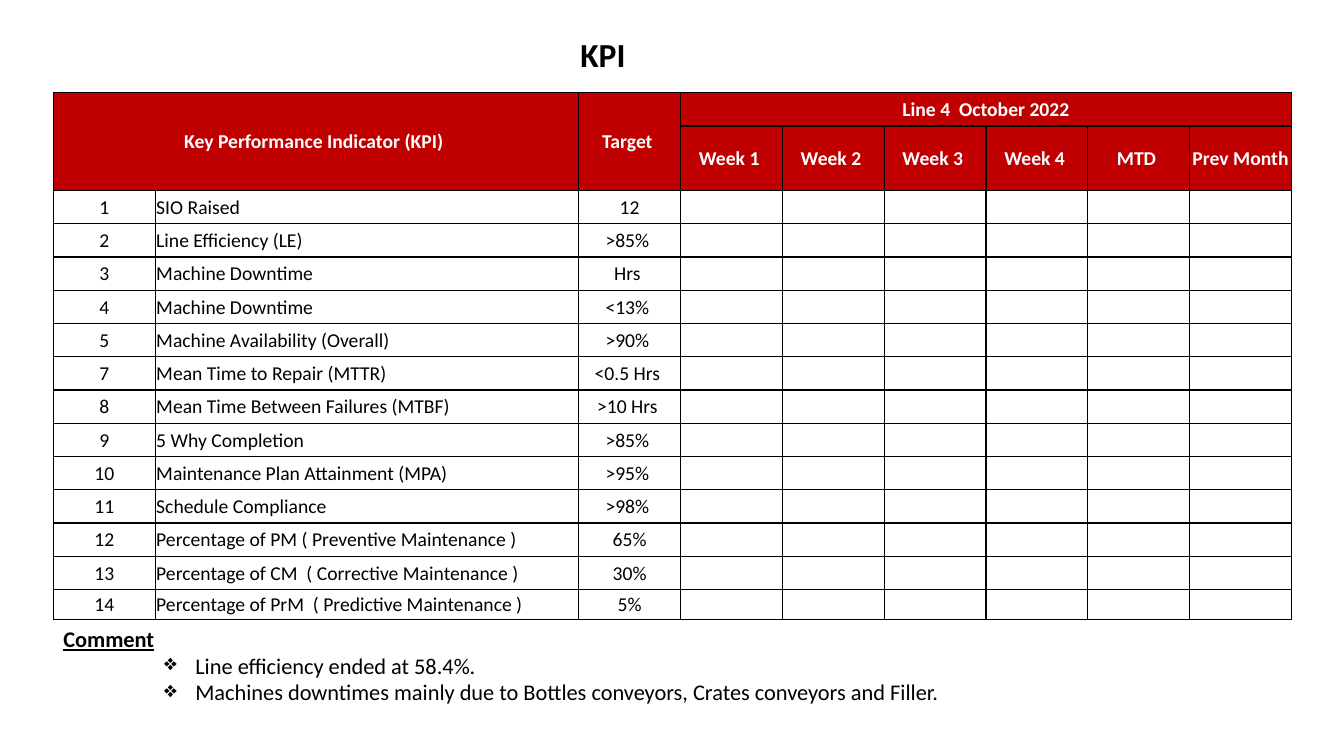
from dataclasses import dataclass

from lxml import etree
from pptx import Presentation
from pptx.dml.color import RGBColor
from pptx.enum.shapes import MSO_SHAPE
from pptx.enum.text import MSO_ANCHOR, PP_ALIGN
from pptx.oxml.ns import qn
from pptx.util import Emu, Pt

EMU_PER_PX = 9144  # 100 px to the inch
FONT = "Calibri"
RED = RGBColor(0xC0, 0x00, 0x00)
WHITE = RGBColor(0xFF, 0xFF, 0xFF)
BLACK = RGBColor(0x00, 0x00, 0x00)
RECTANGLE = MSO_SHAPE.RECTANGLE
MIDDLE = MSO_ANCHOR.MIDDLE
CENTER, LEFT = PP_ALIGN.CENTER, PP_ALIGN.LEFT
CELL_SIZE = 14


@dataclass(frozen=True)
class Kpi:
    number: str
    name: str
    target: str


@dataclass(frozen=True)
class HeaderCell:
    row: int
    col: int
    text: str
    rows: int = 1
    cols: int = 1


KPIS = [
    Kpi("1", "SIO Raised", "12"),
    Kpi("2", "Line Efficiency (LE)", ">85% "),
    Kpi("3", "Machine Downtime", "Hrs "),
    Kpi("4", "Machine Downtime", "<13% "),
    Kpi("5", "Machine Availability (Overall)", ">90% "),
    Kpi("7", "Mean Time to Repair (MTTR)", "<0.5 Hrs "),
    Kpi("8", "Mean Time Between Failures (MTBF)", ">10 Hrs "),
    Kpi("9", "5 Why Completion", ">85% "),
    Kpi("10", "Maintenance Plan Attainment (MPA)", ">95% "),
    Kpi("11", "Schedule Compliance", ">98% "),
    Kpi("12", "Percentage of PM ( Preventive Maintenance )", "65%"),
    Kpi("13", "Percentage of CM  ( Corrective Maintenance )", "30%"),
    Kpi("14", "Percentage of PrM  ( Predictive Maintenance )", "5%"),
]
PERIODS = ["Week 1 ", "Week 2 ", "Week 3 ", "Week 4 ", "MTD ", "Prev Month "]
HEADER_ROWS, FIRST_PERIOD = 2, 3
MTD_COL = FIRST_PERIOD + PERIODS.index("MTD ")
FIRST_WHITE_ROW = HEADER_ROWS + 10  # the percentage rows
HEADERS = [
    HeaderCell(0, 0, "Key Performance Indicator (KPI) ", rows=2, cols=2),
    HeaderCell(0, 2, "Target ", rows=2),
    HeaderCell(0, FIRST_PERIOD, "Line 4  October 2022", cols=len(PERIODS)),
] + [HeaderCell(1, FIRST_PERIOD + i, text) for i, text in enumerate(PERIODS)]
COL_WIDTHS = [101, 420] + [101] * (1 + len(PERIODS))
ROW_HEIGHTS = [33, 64] + [33] * (len(KPIS) - 1) + [30]
COMMENTS = [
    "Line efficiency ended at 58.4%.",
    "Machines downtimes mainly due to Bottles conveyors, Crates conveyors and Filler.",
]


def px(n: int) -> Emu:
    return Emu(n * EMU_PER_PX)


def add_run(p, text: str, size: int, color: RGBColor = BLACK,
            bold: bool = False, underline: bool = False) -> None:
    r = p.add_run()
    r.text = text
    r.font.name = FONT
    r.font.size = Pt(size)
    r.font.color.rgb = color
    r.font.bold = bold
    r.font.underline = underline


def set_bullet(p, margin: int, hanging: int) -> None:
    pPr = p._p.get_or_add_pPr()
    pPr.set("marL", str(px(margin)))
    pPr.set("indent", str(px(-hanging)))
    etree.SubElement(pPr, qn("a:buChar"), char="❖")


def set_borders(cell) -> None:
    tcPr = cell._tc.get_or_add_tcPr()
    for i, side in enumerate(("lnL", "lnR", "lnT", "lnB")):
        ln = etree.Element(qn(f"a:{side}"), w=str(Pt(1)))
        fill = etree.SubElement(ln, qn("a:solidFill"))
        etree.SubElement(fill, qn("a:srgbClr"), val=str(BLACK))
        tcPr.insert(i, ln)


def format_cell(cell, row: int, col: int) -> None:
    cell.margin_left = cell.margin_right = cell.margin_top = px(1)
    cell.margin_bottom = 0
    cell.vertical_anchor = MIDDLE
    white = row >= FIRST_WHITE_ROW and FIRST_PERIOD <= col < MTD_COL
    if row < HEADER_ROWS:
        cell.fill.solid()
        cell.fill.fore_color.rgb = RED
    elif white or col == MTD_COL:
        cell.fill.solid()
        cell.fill.fore_color.rgb = WHITE
    else:
        cell.fill.background()
    set_borders(cell)


def write_cell(cell, text: str, align: PP_ALIGN, color: RGBColor = BLACK,
               bold: bool = False) -> None:
    p = cell.text_frame.paragraphs[0]
    p.alignment = align
    add_run(p, text, CELL_SIZE, color, bold)


def add_title(s) -> None:
    sp = s.shapes.add_shape(RECTANGLE, px(193), px(33), px(810), px(41))
    sp.shadow.inherit = False
    sp.fill.background()
    sp.line.color.rgb = WHITE
    sp.line.width = Pt(1)
    tf = sp.text_frame
    tf.vertical_anchor = MIDDLE
    p = tf.paragraphs[0]
    p.alignment = CENTER
    add_run(p, "KPI", 24, bold=True)


def add_comments(s) -> None:
    tf = s.shapes.add_textbox(px(53), px(615), px(1213), px(118)).text_frame
    tf.word_wrap = True
    add_run(tf.paragraphs[0], "Comment", 16, bold=True, underline=True)
    for text in COMMENTS:
        p = tf.add_paragraph()
        p.level = 2
        set_bullet(p, 131, 31)
        add_run(p, text, 16)


def add_kpi_table(s) -> None:
    table = s.shapes.add_table(len(ROW_HEIGHTS), len(COL_WIDTHS), px(53), px(92),
                               px(sum(COL_WIDTHS)), px(sum(ROW_HEIGHTS))).table
    table.first_row = table.horz_banding = False
    for column, width in zip(table.columns, COL_WIDTHS):
        column.width = px(width)
    for row, height in zip(table.rows, ROW_HEIGHTS):
        row.height = px(height)
    for row in range(len(ROW_HEIGHTS)):
        for col in range(len(COL_WIDTHS)):
            format_cell(table.cell(row, col), row, col)

    # Header
    for h in HEADERS:
        cell = table.cell(h.row, h.col)
        if h.rows * h.cols > 1:
            cell.merge(table.cell(h.row + h.rows - 1, h.col + h.cols - 1))
        write_cell(cell, h.text, CENTER, WHITE, bold=True)

    # Indicators, with the period cells left open
    for row, kpi in enumerate(KPIS, HEADER_ROWS):
        write_cell(table.cell(row, 0), kpi.number, CENTER)
        write_cell(table.cell(row, 1), kpi.name, LEFT)
        write_cell(table.cell(row, 2), kpi.target, CENTER)
        for col in range(FIRST_PERIOD, len(COL_WIDTHS)):
            p = table.cell(row, col).text_frame.paragraphs[0]
            etree.SubElement(p._p, qn("a:endParaRPr"), sz=str(CELL_SIZE * 100))


def main() -> None:
    prs = Presentation()
    prs.slide_width, prs.slide_height = px(1333), px(750)
    s = prs.slides.add_slide(prs.slide_layouts[6])
    add_title(s)
    add_comments(s)
    add_kpi_table(s)
    prs.save("out.pptx")


if __name__ == "__main__":
    main()
